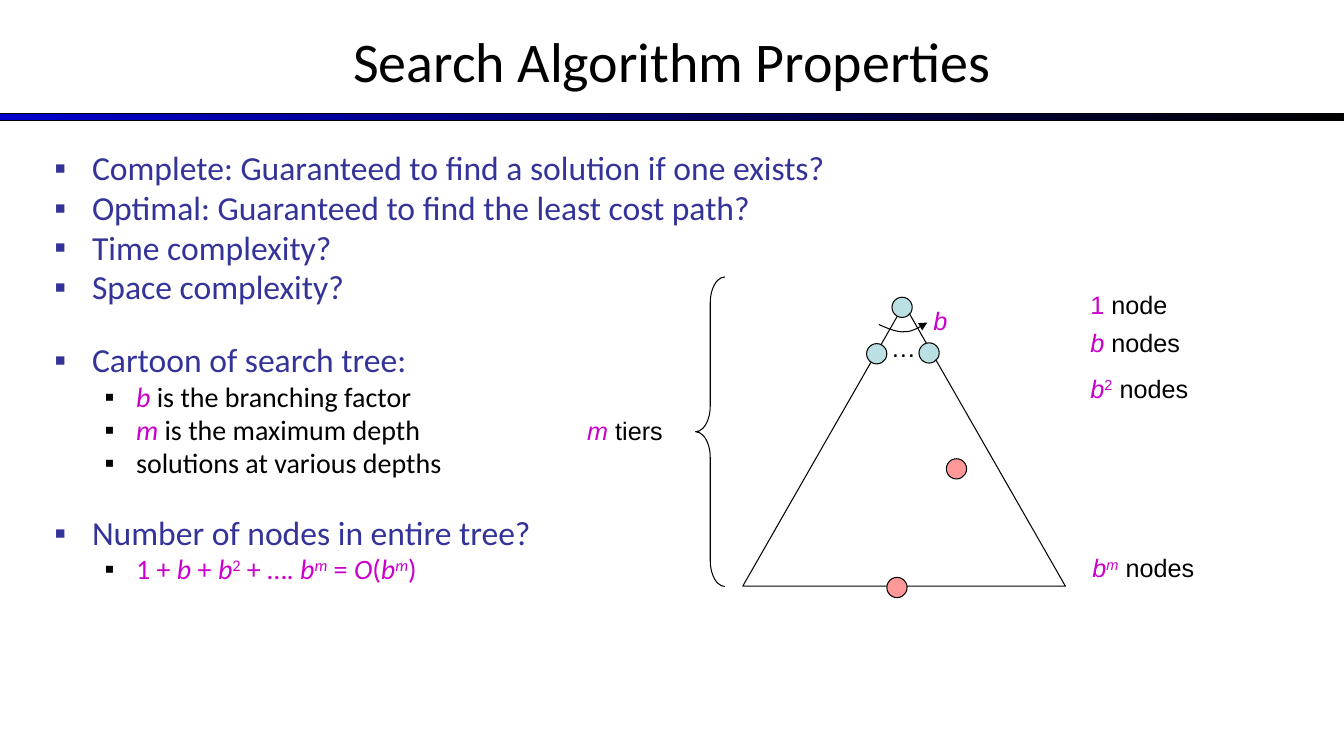
from pptx import Presentation
from pptx.dml.color import RGBColor
from pptx.enum import shapes, text
from pptx.oxml import parse_xml
from pptx.oxml.ns import nsdecls
from pptx.util import Cm, Pt

COLORS = {
    "black": "000000", "bar": "0000CC", "topic": "333399",
    "math": "CC00CC", "node": "BBE0E3", "goal": "FF9999",
}
NODE_SIZE = 0.51
SYMBOL = {"color": "math", "italic": True}
NUMBER = {"color": "math"}
POWER = {**SYMBOL, "superscript": True}
SQUARE = {**NUMBER, "superscript": True}

# Each outline entry: level, runs of (text, format), starts a new group
OUTLINE = [
    (0, [("Complete: Guaranteed to find a solution if one exists?", {})], False),
    (0, [("Optimal: Guaranteed to find the least cost path?", {})], False),
    (0, [("Time complexity?", {})], False),
    (0, [("Space complexity?", {})], False),
    (0, [("Cartoon of search tree:", {})], True),
    (1, [("b", SYMBOL), (" is the branching factor", {})], False),
    (1, [("m", SYMBOL), (" is the maximum depth", {})], False),
    (1, [("solutions at various depths", {})], False),
    (0, [("Number of nodes in entire tree?", {})], True),
    (1, [("1 + ", NUMBER), ("b", SYMBOL), (" + ", NUMBER), ("b", SYMBOL),
         ("2", SQUARE), (" + …. ", NUMBER), ("b", SYMBOL), ("m", POWER),
         (" = ", NUMBER), ("O", SYMBOL), ("(", NUMBER), ("b", SYMBOL),
         ("m", POWER), (")", NUMBER)], False),
]
# Indent in cm, font size in points and colour of each outline level
LEVELS = [(0.95, 0.95, 24, "topic"), (2.06, 0.79, 20, "black")]

LABELS = [
    (22.2, 8.26, 0.76, [("…", {})]),
    (23.27, 7.57, 0.84, [("b", SYMBOL)]),
    (27.23, 7.16, 3.1, [("1", NUMBER), (" node", {})]),
    (27.23, 8.13, 3.1, [("b", SYMBOL), (" nodes", {})]),
    (27.23, 9.27, 3.1, [("b", SYMBOL), ("2", SQUARE), (" nodes", {})]),
    (27.28, 13.8, 4.06, [("b", SYMBOL), ("m", POWER), (" nodes", {})]),
    (14.55, 10.34, 3.5, [("m", SYMBOL), (" tiers", {})]),
]


def rgb(name):
    return RGBColor.from_string(COLORS[name])


def add_text(paragraph, content, size=18, font="Arial", color="black",
             italic=False, superscript=False):
    run = paragraph.add_run()
    run.text = content
    run.font.size = Pt(size)
    run.font.name = font
    run.font.italic = italic
    run.font.color.rgb = rgb(color)
    if superscript:
        run.font._element.set("baseline", "30000")


def add_text_frame(slide, left, top, width, height):
    box = slide.shapes.add_textbox(Cm(left), Cm(top), Cm(width), Cm(height))
    box.text_frame.word_wrap = True
    return box.text_frame


def style_outline(shape, fill=None):
    shape.shadow.inherit = False
    if fill:
        shape.fill.solid()
        shape.fill.fore_color.rgb = rgb(fill)
    else:
        shape.fill.background()
    shape.line.color.rgb = rgb("black")
    shape.line.width = Pt(0.75)


def add_preset(slide, kind, left, top, width, height, fill=None):
    shape = slide.shapes.add_shape(kind, Cm(left), Cm(top), Cm(width), Cm(height))
    style_outline(shape, fill)
    return shape


def add_title(slide):
    title = slide.shapes.title
    title.left, title.top, title.width, title.height = (
        Cm(0), Cm(-0.08), Cm(33.87), Cm(3.18))
    title.text_frame.vertical_anchor = text.MSO_ANCHOR.MIDDLE
    paragraph = title.text_frame.paragraphs[0]
    paragraph.alignment = text.PP_ALIGN.CENTER
    add_text(paragraph, "Search Algorithm Properties", size=40, font="Calibri")


def add_title_bar(slide):
    bar = add_preset(slide, shapes.MSO_SHAPE.RECTANGLE, 0, 2.87, 33.87, 0.18)
    bar.fill.gradient()
    bar.fill.gradient_angle = 0
    for stop, position, color in zip(bar.fill.gradient_stops, (0, 1), ("bar", "black")):
        stop.position = position
        stop.color.rgb = rgb(color)


def add_bullet(paragraph, level, color):
    margin, hanging = LEVELS[level][:2]
    properties = paragraph._p.get_or_add_pPr()
    properties.set("marL", str(Cm(margin)))
    properties.set("indent", str(-Cm(hanging)))
    for xml in (f'<a:buClr {nsdecls("a")}><a:srgbClr val="{COLORS[color]}"/></a:buClr>',
                f'<a:buFont {nsdecls("a")} typeface="Arial"/>',
                f'<a:buChar {nsdecls("a")} char="▪"/>'):
        properties.append(parse_xml(xml))


def add_outline(slide):
    frame = add_text_frame(slide, 1.12, 3.7, 31.6, 13.13)
    for index, (level, runs, new_group) in enumerate(OUTLINE):
        paragraph = frame.paragraphs[0] if index == 0 else frame.add_paragraph()
        size, color = LEVELS[level][2:]
        paragraph.level = level
        add_bullet(paragraph, level, color)
        paragraph.line_spacing = 0.9
        if index:
            paragraph.space_before = Pt(size / 10 + (24 if new_group else 0))
        for content, style in runs:
            add_text(paragraph, content,
                     **{"size": size, "font": "Calibri", "color": color, **style})


def add_branching_arrow(slide):
    """Draw the curved arrow as short steps along two joined Bézier curves."""
    curves = [((22.15, 8.18), (22.38, 8.28), (22.61, 8.38), (22.81, 8.36)),
              ((22.81, 8.36), (23.01, 8.36), (23.19, 8.23), (23.37, 8.13))]
    steps = 8
    points = []
    for curve in curves:
        for step in range(1, steps + 1):
            t = step / steps
            weights = ((1 - t) ** 3, 3 * t * (1 - t) ** 2, 3 * t * t * (1 - t), t ** 3)
            points.append(tuple(
                Cm(sum(weight * point[axis] for weight, point in zip(weights, curve)))
                for axis in (0, 1)))
    start_x, start_y = curves[0][0]
    builder = slide.shapes.build_freeform(Cm(start_x), Cm(start_y))
    builder.add_line_segments(points, close=False)
    arrow = builder.convert_to_shape()
    style_outline(arrow)
    arrow.line._get_or_add_ln().append(
        parse_xml(f'<a:tailEnd {nsdecls("a")} type="triangle"/>'))


def add_tree(slide):
    add_preset(slide, shapes.MSO_SHAPE.ISOSCELES_TRIANGLE, 18.72, 7.67, 8.13, 7.1)
    for left, top, fill in [(22.48, 7.49, "node"), (21.84, 8.66, "node"),
                            (23.16, 8.64, "node"), (22.35, 14.55, "goal"),
                            (23.85, 11.56, "goal")]:
        add_preset(slide, shapes.MSO_SHAPE.OVAL, left, top, NODE_SIZE, NODE_SIZE, fill)
    add_branching_arrow(slide)
    brace = add_preset(slide, shapes.MSO_SHAPE.LEFT_BRACE, 17.53, 6.98, 0.74, 7.8)
    brace.adjustments[0] = 0.88
    for left, top, width, runs in LABELS:
        paragraph = add_text_frame(slide, left, top, width, 1.02).paragraphs[0]
        for content, style in runs:
            add_text(paragraph, content, **style)


def main():
    presentation = Presentation()
    presentation.slide_width = Cm(33.87)
    presentation.slide_height = Cm(19.05)
    slide = presentation.slides.add_slide(presentation.slide_layouts[5])
    add_title_bar(slide)
    add_title(slide)
    add_outline(slide)
    add_tree(slide)
    presentation.save("out.pptx")


if __name__ == "__main__":
    main()
